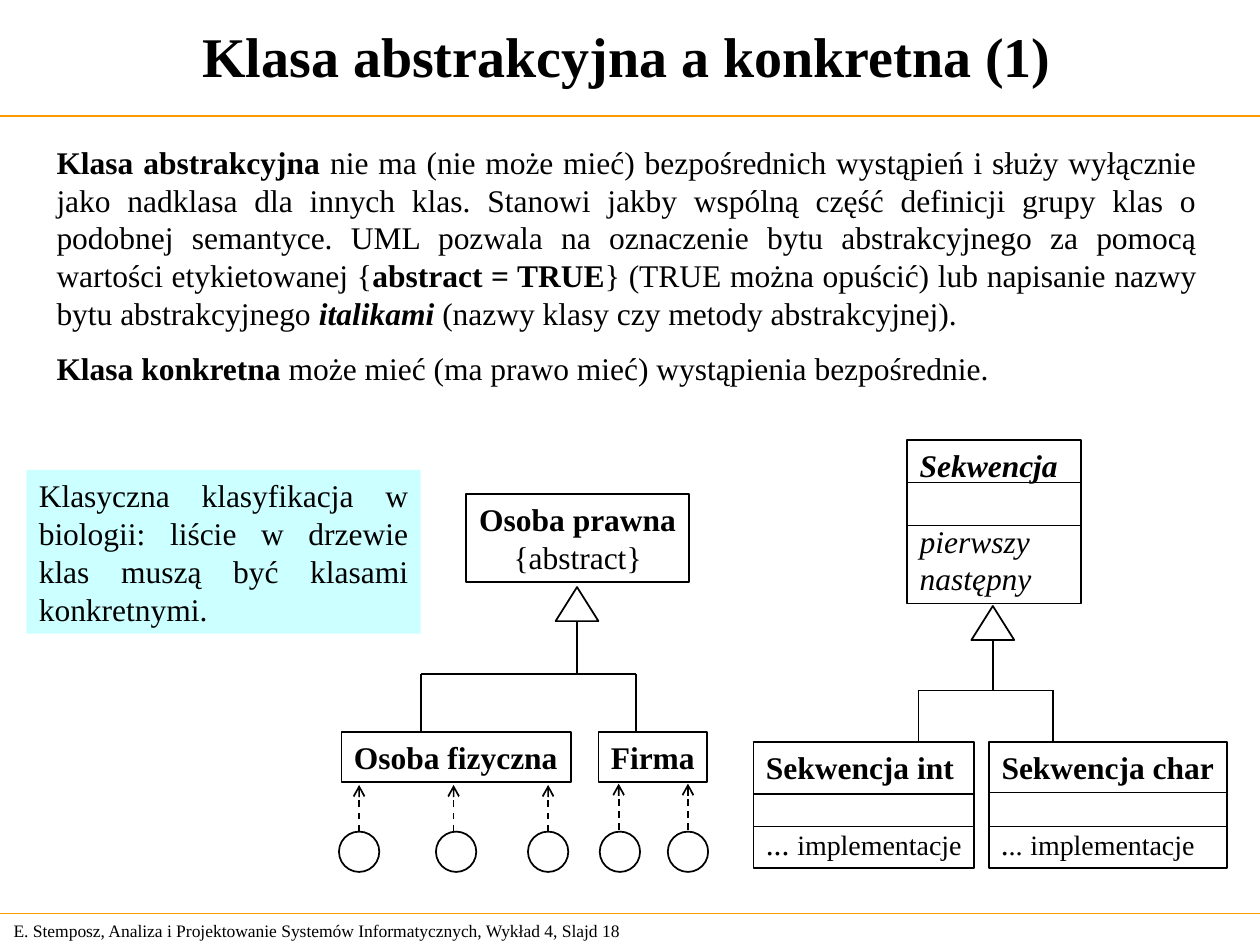
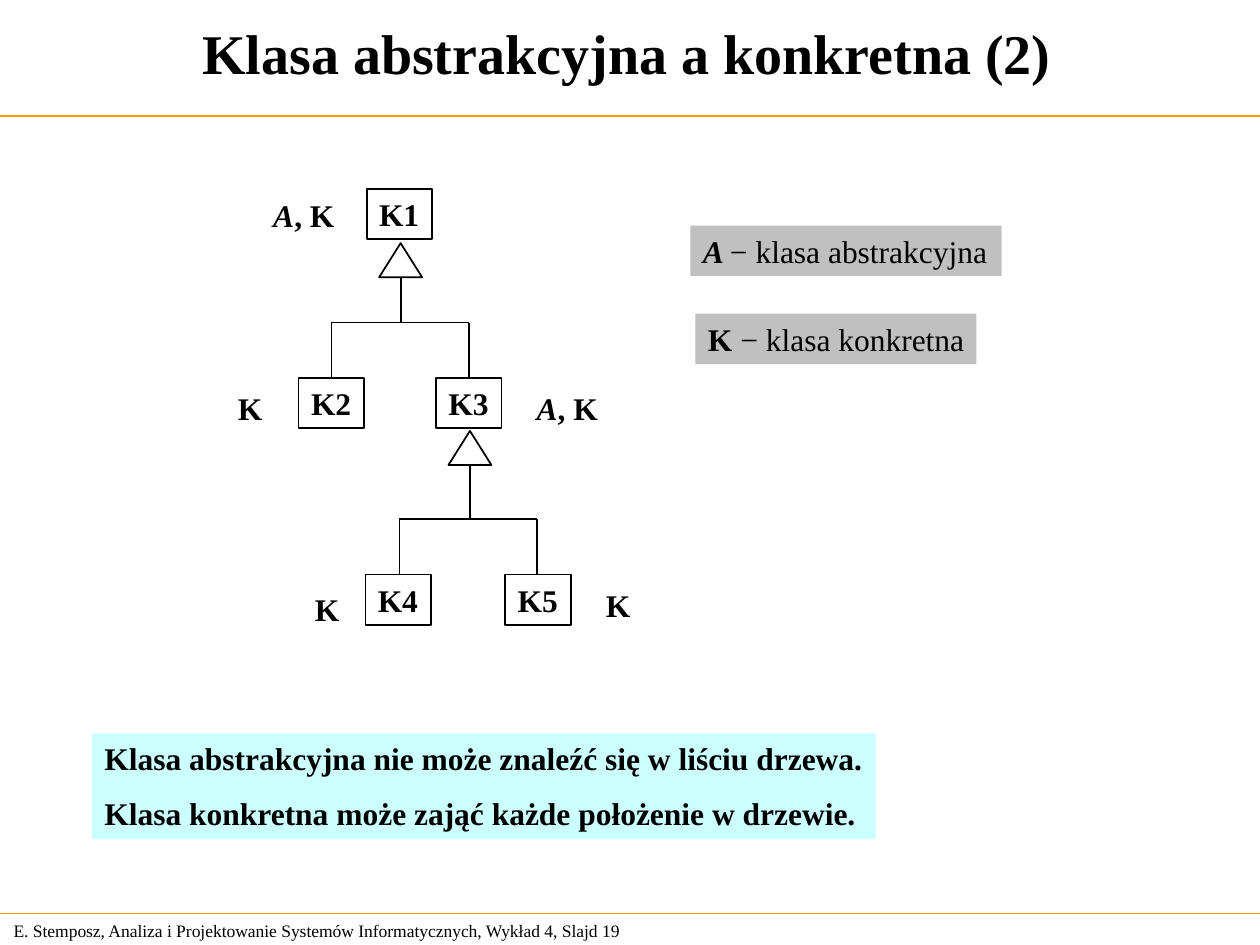
import dataclasses

import lxml.etree
import pptx
import pptx.dml.color
import pptx.enum.dml
import pptx.enum.shapes
import pptx.enum.text
import pptx.oxml.ns
import pptx.util

SCALE = 9144
FORM = pptx.enum.shapes.MSO_SHAPE
ALIGN = pptx.enum.text.PP_ALIGN
ANCHOR = pptx.enum.text.MSO_ANCHOR
FIT = pptx.enum.text.MSO_AUTO_SIZE


@dataclasses.dataclass(frozen=True)
class Theme:
    font: str = "Times New Roman"
    ink: str = "000000"
    rule: str = "FF9900"
    note: str = "CCFFFF"
    legend: str = "C0C0C0"
    title: int = 32
    body: int = 18
    small: int = 16
    foot: int = 10
    gap: float = 9.6
    row: float = 21.6


THEME = Theme()


def px(count):
    return pptx.util.Emu(count * SCALE)


def tint(code):
    return pptx.dml.color.RGBColor.from_string(code)


def write(frame, text, size=THEME.body, style="", align=ALIGN.LEFT,
          anchor=ANCHOR.TOP, gaps=None):
    frame.word_wrap = True
    frame.auto_size = FIT.NONE
    frame.vertical_anchor = anchor
    frame.margin_left = px(10)
    frame.margin_right = px(2 if align == ALIGN.LEFT else 10)
    frame.margin_top = frame.margin_bottom = px(5)
    rows = [text] if isinstance(text, str) else text
    for index, row in enumerate(rows):
        par = frame.paragraphs[0] if index == 0 else frame.add_paragraph()
        par.alignment = align
        if gaps and index in gaps:
            par.space_before = pptx.util.Pt(gaps[index])
        for part in [(row, style)] if isinstance(row, str) else row:
            run = par.add_run()
            run.text = part[0]
            font = run.font
            font.name = THEME.font
            font.size = pptx.util.Pt(part[2] if len(part) > 2 else size)
            font.bold = "b" in part[1]
            font.italic = "i" in part[1]
            font.color.rgb = tint(THEME.ink)


class Deck:
    def __init__(self, theme):
        self.theme = theme
        self.file = pptx.Presentation()
        self.file.slide_width = px(1000)
        self.file.slide_height = px(750)
        self.slide = None

    def start(self, part, page, top):
        self.slide = self.file.slides.add_slide(self.file.slide_layouts[6])
        self.text(1, 725, 524, 27,
                  "E. Stemposz, Analiza i Projektowanie Systemów "
                  f"Informatycznych, Wykład 4, Slajd {page}",
                  size=self.theme.foot, anchor=ANCHOR.MIDDLE)
        self.line(0, 92, 1000, 92, color=self.theme.rule)
        self.line(0, 725, 1000, 725, color=self.theme.rule, width=0.75)
        self.text(0, top, 995, 85, f"Klasa abstrakcyjna a konkretna ({part})",
                  size=self.theme.title, style="b", align=ALIGN.CENTER,
                  anchor=ANCHOR.MIDDLE)

    def text(self, left, top, width, height, words, **form):
        box = self.slide.shapes.add_textbox(px(left), px(top), px(width), px(height))
        write(box.text_frame, words, **form)

    def shape(self, kind, left, top, width, height, fill=None):
        item = self.slide.shapes.add_shape(
            kind, px(left), px(top), px(width), px(height))
        item.shadow.inherit = False
        if fill:
            item.fill.solid()
            item.fill.fore_color.rgb = tint(fill)
            item.line.fill.background()
        else:
            item.fill.background()
            item.line.color.rgb = tint(self.theme.ink)
            item.line.width = pptx.util.Pt(1)
        return item

    def box(self, left, top, width, height, words, fill=None, **form):
        item = self.shape(FORM.RECTANGLE, left, top, width, height, fill)
        write(item.text_frame, words, **form)

    def line(self, left, top, right, low, color=None, width=1, arrow=False):
        item = self.slide.shapes.add_connector(
            pptx.enum.shapes.MSO_CONNECTOR.STRAIGHT,
            px(left), px(top), px(right), px(low))
        item.line.color.rgb = tint(color or self.theme.ink)
        item.line.width = pptx.util.Pt(width)
        name = pptx.oxml.ns.qn
        if arrow:
            item.line.dash_style = pptx.enum.dml.MSO_LINE.DASH
            stroke = item.line._get_or_add_ln()
            lxml.etree.SubElement(stroke, name("a:tailEnd"), type="arrow")
        lxml.etree.SubElement(item._element.spPr, name("a:effectLst"))

    def tree(self, tip, top, bar, foot, kids):
        self.shape(FORM.ISOSCELES_TRIANGLE, tip - 17, top, 34, 27)
        self.line(tip, top + 27, tip, bar)
        self.line(kids[0], bar, kids[-1], bar)
        for kid in kids:
            self.line(kid, bar, kid, foot)

    def table(self, left, top, width, height, words, rules):
        self.box(left, top, width, height, words, gaps={1: self.theme.row})
        for rule in rules:
            self.line(left, rule, left + width, rule)

    def object(self, left, stem, top):
        self.shape(FORM.OVAL, left, 660, 32, 32)
        self.line(stem, top + 37, stem, top, arrow=True)


def main():
    deck = Deck(THEME)

    deck.start(1, 18, 1)
    deck.text(35, 108, 925, 204, [
        [("Klasa abstrakcyjna ", "b"),
         ("nie ma (nie może mieć) bezpośrednich wystąpień i służy wyłącznie "
          "jako nadklasa dla innych klas. Stanowi jakby wspólną część definicji "
          "grupy klas o podobnej semantyce. UML pozwala na oznaczenie bytu "
          "abstrakcyjnego za pomocą wartości etykietowanej {", ""),
         ("abstract = TRUE", "b"),
         ("} (TRUE można opuścić) lub napisanie nazwy bytu abstrakcyjnego ", ""),
         ("italikami ", "bi"),
         ("(nazwy klasy czy metody abstrakcyjnej)", ""), (".", "i")],
        [("Klasa konkretna ", "b"),
         ("może mieć (ma prawo mieć) wystąpienia bezpośrednie.", "")],
    ], align=ALIGN.JUSTIFY, anchor=ANCHOR.MIDDLE, gaps={1: THEME.gap})
    deck.box(21, 373, 313, 130,
             "Klasyczna klasyfikacja w biologii: liście w drzewie klas muszą "
             "być klasami konkretnymi.",
             fill=THEME.note, align=ALIGN.JUSTIFY)

    deck.box(370, 392, 177, 70, [[("Osoba prawna", "b")], "{abstract}"],
             align=ALIGN.CENTER)
    deck.tree(458, 466, 535, 581, (334, 505))
    deck.box(271, 581, 182, 40, "Osoba fizyczna", style="b")
    deck.box(475, 581, 86, 40, "Firma", style="b")
    for left, stem, top in ((269, 285, 623), (346, 360, 623), (419, 435, 623),
                            (476, 491, 622), (530, 546, 622)):
        deck.object(left, stem, top)

    deck.table(720, 349, 138, 130,
               [[("Sekwencja", "bi")], [("pierwszy", "i")], [("następny", "i")]],
               (383, 417))
    deck.tree(788, 481, 548, 589, (729, 836))
    deck.table(598, 589, 175, 100,
               [[("Sekwencja int", "b")],
                [("... ", ""), ("implementacje", "", THEME.small)]],
               (630, 656))
    deck.table(785, 589, 189, 100,
               [[("Sekwencja char", "b")],
                [(".", "i"), (".. ", "i", THEME.small),
                 ("implementacje", "", THEME.small)]],
               (629, 656))

    deck.start(2, 19, -1)
    deck.box(548, 179, 247, 40, [[("A ", "bi"), ("− klasa abstrakcyjna", "")]],
             fill=THEME.legend)
    deck.box(552, 249, 223, 40, [[("K ", "b"), ("− klasa konkretna", "")]],
             fill=THEME.legend)
    for name, left, top in (("K1", 291, 150), ("K2", 237, 300), ("K3", 346, 300),
                            ("K4", 290, 456), ("K5", 401, 456)):
        deck.box(left, top, 52, 40, name, style="b")
    deck.tree(318, 193, 256, 300, (263, 372))
    deck.tree(373, 342, 412, 456, (317, 426))
    for left, top in ((179, 304), (471, 460), (240, 463)):
        deck.text(left, top, 39, 40, "K", style="b")
    for left, top in ((207, 151), (416, 304)):
        deck.text(left, top, 68, 40, [[("A", "bi"), (", K", "b")]])
    deck.box(73, 582, 622, 84,
             ["Klasa abstrakcyjna nie może znaleźć się w liściu drzewa.",
              "Klasa konkretna może zająć każde położenie w drzewie."],
             fill=THEME.note, style="b", gaps={1: THEME.gap})

    deck.file.save("out.pptx")


if __name__ == "__main__":
    main()
